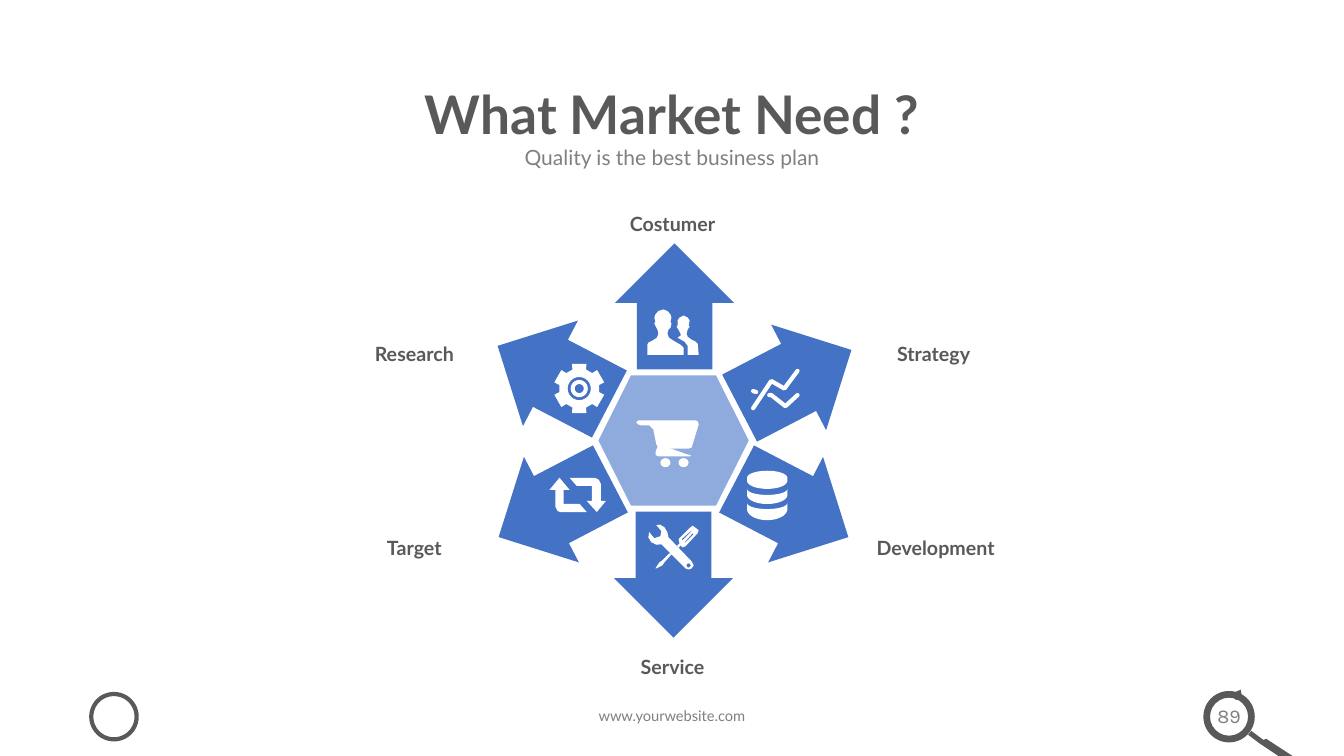
from dataclasses import dataclass
from math import cos, radians, sin

from pptx import Presentation
from pptx import util as u
from pptx.dml.color import RGBColor
from pptx.enum import shapes, text
from pptx.oxml.ns import qn


@dataclass(frozen=True)
class Theme:
    dark: str = "595959"
    grey: str = "808080"
    blue: str = "4472C4"
    pale: str = "8FAADC"
    white: str = "FFFFFF"
    font: str = "Lato"
    digit: str = "Karla"
    title: float = 38
    sub: float = 15
    label: float = 14
    foot: float = 10.5


T = Theme()
W, H = 13.33, 7.5
MID = W / 2
KIND = shapes.MSO_SHAPE


def arc(cx, cy, rx, ry, start=0, end=360, steps=24):
    turns = [radians(start + (end - start) * i / steps) for i in range(steps + 1)]
    return [(cx + rx * cos(a), cy + ry * sin(a)) for a in turns]


def gear():
    rim = []
    for tooth in range(30, 390, 60):
        for turn, r in ((-20, 20), (-16, 25.5), (16, 25.5), (20, 20)):
            a = radians(tooth + turn)
            rim.append((24.5 + r * cos(a), 25.5 + r * sin(a)))
    return [rim] + [arc(24.5, 25.5, r, r) for r in (11.5, 8.5, 4.5)]


def disks():
    top = arc(20, 7, 20, 7, 180, 360) + arc(20, 10, 20, 8, 0, 180)
    return [top] + [arc(20, y, 20, 6, 180, 0) + arc(20, y + 6, 20, drop, 0, 180)
                    for y, drop in ((18, 9), (32, 11))]


# Outlines, in hundredths of an inch from the top left of their box
PAIR = [
    [(16, 0), (11, 1.5), (8, 5), (7, 8), (8, 12), (7, 14), (9, 18), (10.5, 21),
     (11, 24), (9.5, 28), (5, 31), (1, 33), (0, 35), (0, 45), (36, 45), (36, 38),
     (33, 35), (26, 31), (21.5, 28), (20, 24), (21, 20), (23, 18), (24, 14),
     (23, 12), (24, 8), (23, 5), (20, 1.5)],
    [(36, 6), (32, 8), (30, 11), (30, 16), (29, 17), (31, 20), (33, 24), (33, 26),
     (30, 28), (37, 32), (40, 36), (40, 45), (51, 45), (50, 34), (48, 32),
     (44, 30), (40, 27), (39, 24), (40, 20), (42, 17), (41, 16), (42, 11), (40, 8)],
]
TREND = [[(2, 39), (20, 12), (33, 19.5), (46, 2)],
         [(18, 26), (20, 26), (34, 37), (46, 26)],
         [(2, 22), (5, 23)]]
TOOLS = [
    [(9, 1), (14, 7), (13, 12), (7, 14), (2, 8), (1, 13), (4, 18), (9, 20.5),
     (14, 20), (38, 44), (41, 45), (44, 44), (46, 41), (44, 37), (21, 13),
     (20, 8), (17, 3), (12.5, 0.5)],
    arc(41, 41, 2, 2),
    [(29, 22), (32, 19), (31, 15), (42, 4), (45, 1.5), (51, 6), (50, 9), (38, 22),
     (35, 23), (33, 21), (31, 24)],
    [(34, 15), (43, 7), (44, 7), (35, 16)],
    [(37, 18), (45, 9), (46, 10), (38, 18)],
    [(22, 29), (15, 36), (12, 38), (8, 44), (9, 44), (15, 41), (17, 38), (24, 30)],
]
LOOP = [
    [(51, 23), (51, 6), (49, 2), (45, 0), (20, 0), (27, 8), (42, 8), (42, 23),
     (37, 23), (47, 34), (56, 23)],
    [(14, 26), (14, 12), (20, 12), (10, 0), (0, 12), (6, 12), (6, 29), (8, 33),
     (11, 34), (37, 34), (30, 26)],
]
BASKET = [[(52, 28), (55, 27), (62, 4), (61, 1), (59, 0), (2, 0), (0, 2), (2, 4),
           (5, 5), (13, 5), (17, 9), (20, 24), (22, 27), (25, 28)]]
RAIL = [[(23, 24), (20, 31), (20, 34), (22, 35), (54, 35)]]
GRIP = [[(3, 0), (15, 9), (18, 8), (44, 25), (30, 25), (12, 13), (0, 4)]]

# name, label centre and width, arrow centre, heading, icon and its offset, stroke
SPOKES = [
    ("Costumer", 6.67, 2.15, 1.12, 6.69, 3.04, 0, PAIR, -.27, .03, 0),
    ("Strategy", 9.26, 3.44, .98, 7.89, 3.76, 62.5, TREND, -.44, -.1, 3),
    ("Development", 9.28, 5.36, 1.44, 7.86, 5.04, 117.5, disks(), -.45, -.37, 0),
    ("Service", 6.67, 6.54, .89, 6.68, 5.7, 180, TOOLS, -.26, -.5, 0),
    ("Target", 4.11, 5.36, .8, 5.5, 5.04, 242.5, LOOP, -.05, -.3, 0),
    ("Research", 4.11, 3.44, 1.09, 5.49, 3.72, 297.5, gear(), .01, -.12, 0),
]


def tint(item, fill=None, line=None, width=1.0):
    item.shadow.inherit = False
    if fill:
        item.fill.solid()
        item.fill.fore_color.rgb = RGBColor.from_string(fill)
    else:
        item.fill.background()
    if line:
        item.line.color.rgb = RGBColor.from_string(line)
        item.line.width = u.Pt(width)
    else:
        item.line.fill.background()
    return item


def shape(page, kind, cx, cy, w, h, adj=(), turn=0, **look):
    """Place a preset shape by its centre."""
    item = page.shapes.add_shape(kind, *map(u.Inches, (cx - w / 2, cy - h / 2, w, h)))
    for i, value in enumerate(adj):
        item.adjustments[i] = value
    item.rotation = turn
    return tint(item, **look)


def trace(page, x, y, rings, shut=True, **look):
    """Draw outlines as one freeform from the box corner x, y."""
    fine = [[(a * 100, b * 100) for a, b in ring] for ring in rings]
    pen = page.shapes.build_freeform(*fine[0][0], scale=91.44)
    for i, ring in enumerate(fine):
        if i:
            pen.move_to(*ring[0])
        pen.add_line_segments(ring[1:], close=shut)
    return tint(pen.convert_to_shape(u.Inches(x), u.Inches(y)), **look)


def write(page, words, cx, cy, w, h, size=T.label, color=T.dark, font=T.font,
          bold=False, wrap=True, lead=None, before=None, pad=(.1, .05),
          anchor=text.MSO_ANCHOR.TOP):
    box = page.shapes.add_textbox(*map(u.Inches, (cx - w / 2, cy - h / 2, w, h)))
    frame = box.text_frame
    frame.word_wrap = wrap
    frame.vertical_anchor = anchor
    frame.margin_left = frame.margin_right = u.Inches(pad[0])
    frame.margin_top = frame.margin_bottom = u.Inches(pad[1])
    para = frame.paragraphs[0]
    para.alignment = text.PP_ALIGN.CENTER
    para.line_spacing = lead
    para.space_before = before
    run = para.add_run()
    run.text = words
    run.font.name, run.font.size, run.font.bold = font, u.Pt(size), bold
    run.font.color.rgb = RGBColor.from_string(color)


def head(page, cx, y):
    write(page, "What Market Need ?", cx, y + .41, 10, .82, size=T.title, bold=True,
          lead=.9, anchor=text.MSO_ANCHOR.MIDDLE)
    write(page, "Quality is the best business plan", cx, y + .81, 7.99, .39,
          size=T.sub, color=T.grey, before=u.Pt(3), pad=(.13, .07))


def spoke(page, name, lx, ly, lw, cx, cy, turn, icon, dx, dy, stroke):
    shape(page, KIND.DOWN_ARROW, cx, cy, 1.18, 1.25, adj=(.635, .5),
          turn=(turn + 180) % 360, fill=T.blue)
    if stroke:
        mark = trace(page, cx + dx, cy + dy, icon, shut=False, line=T.white, width=stroke)
        mark.element.spPr.find(qn("a:ln")).set("cap", "rnd")
    else:
        trace(page, cx + dx, cy + dy, icon, fill=T.white)
    write(page, name, lx, ly, lw, .42, bold=True, wrap=False, lead=1.5)


def hub(page, cx, cy):
    shape(page, KIND.HEXAGON, cx, cy, 1.49, 1.29, fill=T.pale)
    x, y = cx - .37, cy - .2
    trace(page, x, y, BASKET, fill=T.white)
    trace(page, x, y, RAIL, shut=False, fill=T.white, line=T.white)
    for dx in (.29, .47):
        shape(page, KIND.OVAL, x + dx, y + .42, .1, .09, fill=T.white)


def lens(page, cx, cy):
    shape(page, KIND.DONUT, cx, cy, .51, .51, adj=(.13,), fill=T.dark)
    shape(page, KIND.RIGHT_ARROW, cx + .09, cy - .22, .11, .11, adj=(.32, .64),
          turn=298.7, fill=T.dark)
    trace(page, cx + .19, cy + .14, GRIP, fill=T.dark)
    write(page, "89", cx, cy - .01, .61, .34, color=T.grey, font=T.digit)


def foot(page, cy):
    shape(page, KIND.OVAL, 1.13, cy, .45, .45, line=T.dark, width=3)
    write(page, "www.yourwebsite.com", MID, cy, 4.83, .29, size=T.foot, color=T.grey)
    lens(page, 12.19, cy)


def main():
    deck = Presentation()
    deck.slide_width, deck.slide_height = u.Inches(W), u.Inches(H)
    page = deck.slides.add_slide(deck.slide_layouts[6])
    head(page, MID, H / 10)
    for row in SPOKES:
        spoke(page, *row)
    hub(page, 6.68, 4.37)
    foot(page, 7.11)
    deck.save("out.pptx")


if __name__ == "__main__":
    main()
